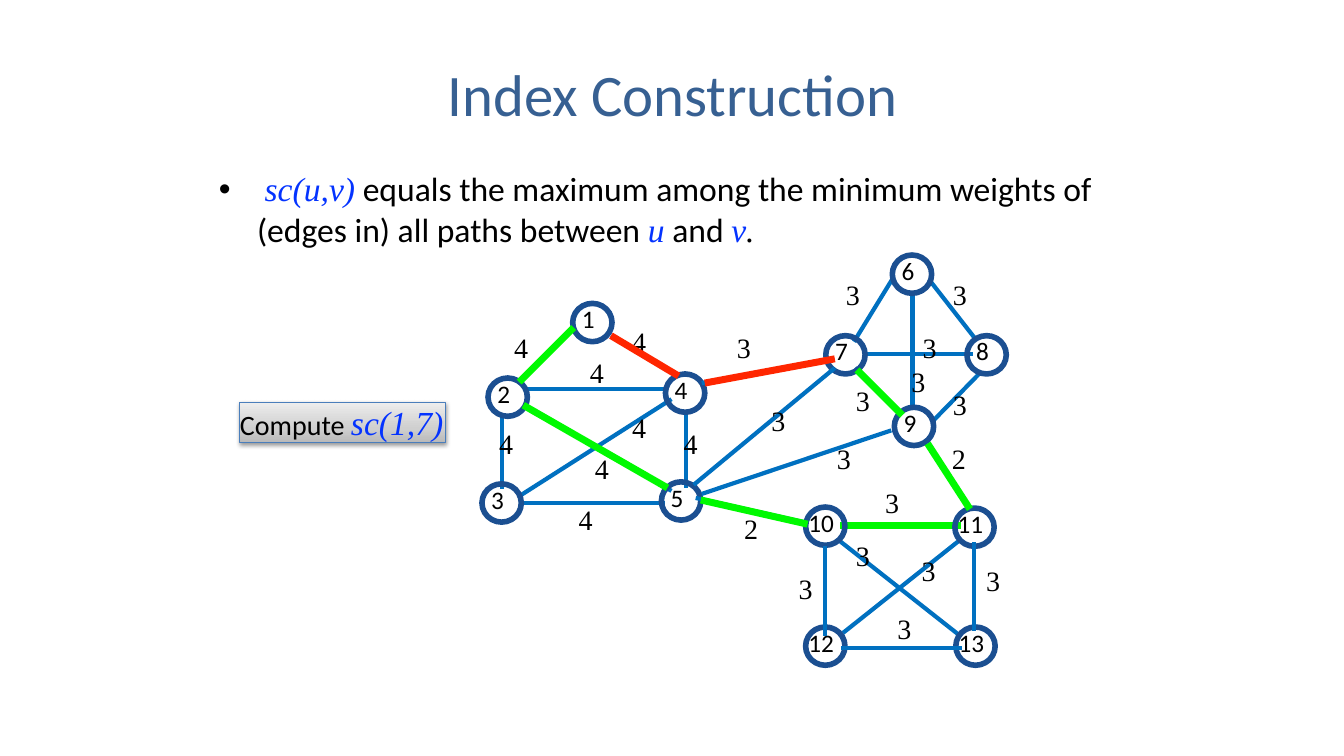
"""Build the Index Construction slide with its weighted graph."""
from copy import deepcopy

from lxml import etree
from pptx import Presentation
from pptx.dml.color import RGBColor
from pptx.enum.shapes import MSO_CONNECTOR, MSO_SHAPE
from pptx.enum.text import MSO_ANCHOR, PP_ALIGN
from pptx.oxml.ns import qn
from pptx.util import Inches, Pt

TITLE_BLUE = RGBColor(0x37, 0x60, 0x92)
EDGE_BLUE = RGBColor(0x00, 0x70, 0xC0)
RING_BLUE = RGBColor(0x1B, 0x4F, 0x91)
MATH_BLUE = RGBColor(0x04, 0x33, 0xFF)
BOX_BLUE = RGBColor(0x4A, 0x7E, 0xBB)
RED = RGBColor(0xFF, 0x26, 0x00)
GREEN = RGBColor(0x00, 0xF9, 0x00)
BLACK = RGBColor(0, 0, 0)
GRADIENT = [(0, RGBColor(0xBA, 0xBA, 0xBA)), (0.35, RGBColor(0xCF, 0xCF, 0xCF)),
            (1, RGBColor(0xED, 0xED, 0xED))]

presentation = Presentation()
presentation.slide_width = Inches(13.33)
presentation.slide_height = Inches(7.5)
slide = presentation.slides.add_slide(presentation.slide_layouts[5])


def write_text(shape, runs, wrap=False):
    """Fill a shape with runs of text, size, font, colour and italic."""
    frame = shape.text_frame
    frame.word_wrap = wrap
    frame.margin_left = frame.margin_right = frame.margin_top = frame.margin_bottom = 0
    for text, size, name, color, italic in runs:
        run = frame.paragraphs[0].add_run()
        run.text = text
        run.font.size = Pt(size)
        run.font.name = name
        run.font.color.rgb = color
        run.font.italic = italic
    return frame


def draw_edges(edges, color, width):
    """Draw straight edges given as x1, y1, x2, y2 in inches."""
    for edge in edges:
        connector = slide.shapes.add_connector(
            MSO_CONNECTOR.STRAIGHT, *[Inches(value) for value in edge])
        connector.line.color.rgb = color
        connector.line.width = Pt(width)
        etree.SubElement(connector._element.spPr, qn("a:effectLst"))


title = slide.shapes.title
title.left, title.top, title.width, title.height = [
    Inches(value) for value in (2.17, 0.3, 9, 1.25)]
title_frame = write_text(title, [("Index Construction", 42, "Calibri", TITLE_BLUE, False)], True)
title_frame.vertical_anchor = MSO_ANCHOR.MIDDLE
title_frame.paragraphs[0].alignment = PP_ALIGN.CENTER

draw_edges([
    (4.98, 4.13, 4.98, 4.85), (6.06, 3.33, 6.73, 3.73), (5.15, 4.99, 6.6, 4.99),
    (5.14, 3.8, 5.68, 3.26), (6.66, 4.87, 5.23, 4.04), (6.66, 3.96, 5.17, 4.91),
    (6.8, 4.07, 6.8, 4.84), (5.23, 3.86, 6.63, 3.86), (9.24, 4.19, 9.71, 3.71),
    (9.05, 2.91, 9.05, 4.05), (8.58, 3.51, 9.65, 3.51), (8.94, 4.11, 8.48, 3.65),
    (8.85, 2.77, 8.47, 3.39), (9.68, 3.37, 9.22, 2.78), (9.53, 5.35, 8.36, 6.28),
    (8.32, 5.36, 9.5, 6.29),
], EDGE_BLUE, 3)
draw_edges([(9.53, 5.21, 8.33, 5.21)], GREEN, 5)

nodes = [(5.68, 3.01), (4.84, 3.75), (4.78, 4.8), (6.6, 3.71), (6.56, 4.78),
         (8.85, 2.53), (8.19, 3.33), (9.59, 3.33), (8.87, 4.04), (7.99, 5.03),
         (9.47, 5.04), (7.99, 6.22), (9.48, 6.22)]
for number, (left, top) in enumerate(nodes, start=1):
    node = slide.shapes.add_shape(
        MSO_SHAPE.OVAL, Inches(left), Inches(top), Inches(0.39), Inches(0.38))
    node.shadow.inherit = False
    node.fill.background()
    node.line.color.rgb = RING_BLUE
    node.line.width = Pt(4)
    node_frame = write_text(node, [(str(number), 18, "Calibri", BLACK, False)])
    node_frame.margin_right = node_frame.margin_bottom = Inches(0.08)
    node_frame.vertical_anchor = MSO_ANCHOR.MIDDLE
    node_frame.paragraphs[0].alignment = PP_ALIGN.CENTER

draw_edges([
    (9.54, 6.43, 8.34, 6.43), (9.66, 5.38, 9.66, 6.26), (8.18, 5.42, 8.18, 6.31),
    (8.84, 4.27, 6.96, 4.9), (8.25, 3.56, 6.96, 3.8), (8.28, 3.65, 6.88, 4.81),
    (9.2, 4.4, 9.62, 5.05), (7.97, 5.18, 6.9, 4.94),
], EDGE_BLUE, 3)

weights = {
    "4": [(6.27, 3.22), (5.1, 3.28), (5.85, 3.53), (5.74, 4.99), (4.95, 4.23),
          (5.9, 4.48), (6.27, 4.07), (6.78, 4.23)],
    "3": [(8.39, 2.75), (9.45, 2.75), (9.15, 3.28), (9.04, 3.62), (9.45, 3.84),
          (8.49, 3.8), (8.9, 6.07), (7.92, 5.67), (8.78, 4.82), (9.78, 5.59),
          (8.49, 5.34), (9.14, 5.49), (7.31, 3.28), (7.65, 4), (8.3, 4.38)],
    "2": [(7.38, 5.07), (9.44, 4.38)],
}
for weight, places in weights.items():
    for left, top in places:
        label = slide.shapes.add_textbox(Inches(left), Inches(top), Inches(0.14), Inches(0.34))
        write_text(label, [(weight, 20, "Times New Roman", BLACK, False)])

task = slide.shapes.add_shape(
    MSO_SHAPE.RECTANGLE, Inches(2.38), Inches(3.99), Inches(2.04), Inches(0.4))
task.line.color.rgb = BOX_BLUE
task.line.width = Pt(0.75)
task.fill.gradient()
task.fill.gradient_angle = 90
stop_list = task._element.spPr.find(".//" + qn("a:gsLst"))
stop_list.insert(1, deepcopy(stop_list[0]))
for stop, (position, color) in zip(task.fill.gradient_stops, GRADIENT):
    stop.position = position
    stop.color.rgb = color
task.shadow.inherit = False
effects = task._element.spPr.find(qn("a:effectLst"))
shadow = etree.SubElement(effects, qn("a:outerShdw"), blurRad=str(Pt(3)), dist=str(Pt(1.6)),
                          dir="5400000", rotWithShape="0")
shadow_color = etree.SubElement(shadow, qn("a:srgbClr"), val="000000")
etree.SubElement(shadow_color, qn("a:alpha"), val="38000")
task_frame = write_text(task, [("Compute ", 20, "Calibri", BLACK, False),
                               ("sc(1,7)", 24, "Times New Roman", MATH_BLUE, True)])
task_frame.vertical_anchor = MSO_ANCHOR.TOP
task_frame.paragraphs[0].alignment = PP_ALIGN.LEFT

body = slide.shapes.add_textbox(Inches(2.17), Inches(1.67), Inches(9), Inches(1.9))
properties = body.text_frame.paragraphs[0]._p.get_or_add_pPr()
properties.set("marL", str(Inches(0.38)))
properties.set("indent", str(-Inches(0.38)))
etree.SubElement(properties, qn("a:buFont"), typeface="Arial")
etree.SubElement(properties, qn("a:buChar"), char="•")
write_text(body, [
    (" ", 24, "Calibri", BLACK, False),
    ("sc(u,v)", 24, "Times New Roman", MATH_BLUE, True),
    (" equals the maximum among the minimum weights of (edges in) all paths between ",
     24, "Calibri", BLACK, False),
    ("u", 24, "Times New Roman", MATH_BLUE, True),
    (" and ", 24, "Calibri", BLACK, False),
    ("v", 24, "Times New Roman", MATH_BLUE, True),
    (".", 24, "Times New Roman", BLACK, True),
], True)

draw_edges([(6.06, 3.33, 6.73, 3.73), (8.28, 3.56, 6.99, 3.8)], RED, 5)
draw_edges([
    (5.15, 3.79, 5.69, 3.25), (6.62, 4.84, 5.19, 4.02), (8.01, 5.2, 6.95, 4.96),
    (9.2, 4.4, 9.62, 5.05), (8.95, 4.12, 8.5, 3.67),
], GREEN, 5)

presentation.save("out.pptx")
